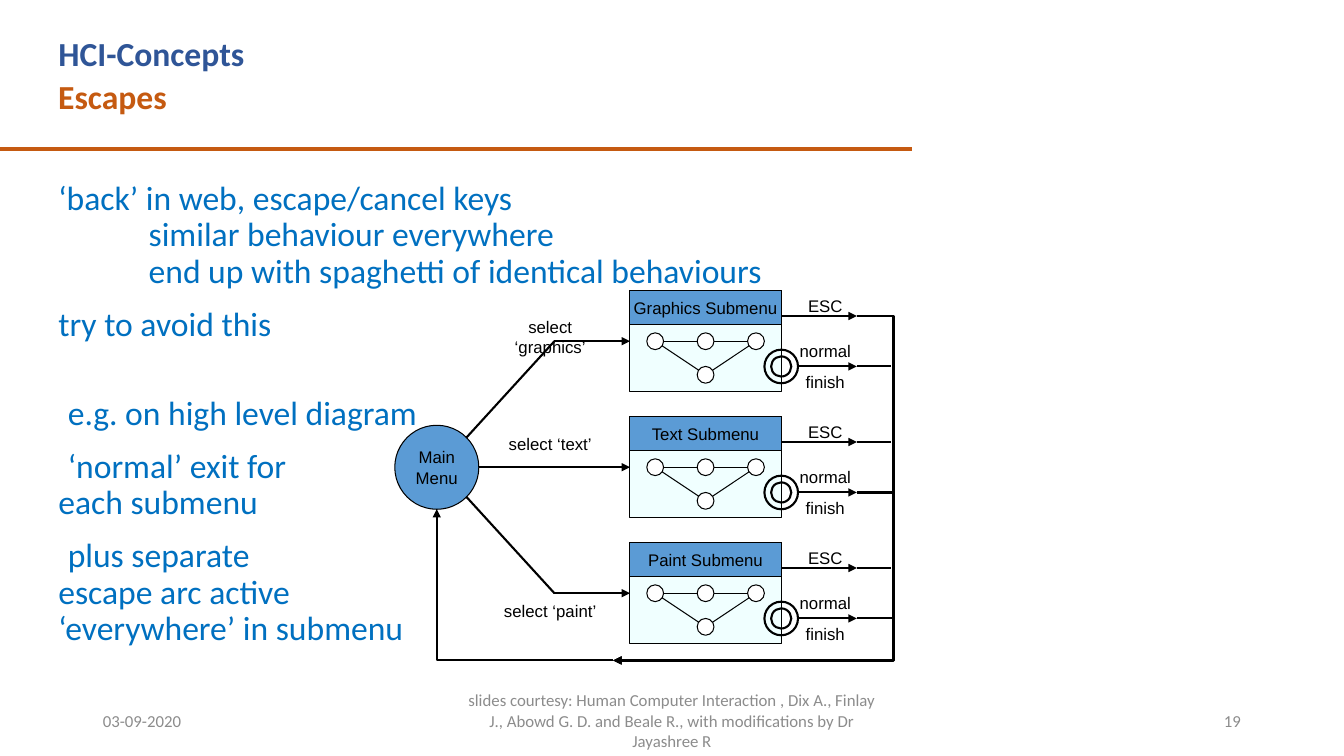
from dataclasses import dataclass

import lxml.etree
import pptx
import pptx.dml.color
import pptx.enum.shapes
import pptx.enum.text
import pptx.oxml.ns
import pptx.util

PX = 9525
SHAPE = pptx.enum.shapes.MSO_SHAPE
CONNECTOR = pptx.enum.shapes.MSO_CONNECTOR
ALIGN = pptx.enum.text.PP_ALIGN
ANCHOR = pptx.enum.text.MSO_ANCHOR


@dataclass(frozen=True)
class Theme:
    heading: str = "2F5597"
    accent: str = "C55A11"
    body: str = "0070C0"
    muted: str = "8C8C8C"
    ink: str = "000000"
    paper: str = "FFFFFF"
    node: str = "5B9BD5"
    panel: str = "F0FFFF"
    text_font: str = "Calibri"
    diagram_font: str = "Arial"
    large: int = 24
    small: int = 12
    thin: float = 0.75
    medium: float = 1.5
    thick: float = 3


THEME = Theme()


def px(*lengths):
    return [pptx.util.Emu(round(length * PX)) for length in lengths]


def rgb(color):
    return pptx.dml.color.RGBColor.from_string(color)


def sub(parent, tag, **attributes):
    return lxml.etree.SubElement(parent, pptx.oxml.ns.qn(tag), attributes)


def style(paragraph, size, color, font, bold=False, align=ALIGN.LEFT):
    paragraph.alignment = align
    paragraph.font.size = pptx.util.Pt(size)
    paragraph.font.color.rgb = rgb(color)
    paragraph.font.name = font
    paragraph.font.bold = bold


def fill_text(shape, text, size, color, font, bold=False, align=ALIGN.LEFT,
              anchor=ANCHOR.TOP, wrap=True):
    frame = shape.text_frame
    frame.auto_size = pptx.enum.text.MSO_AUTO_SIZE.NONE
    frame.word_wrap = wrap
    frame.vertical_anchor = anchor
    frame.text = text
    style(frame.paragraphs[0], size, color, font, bold, align)
    return frame


def place(shape, box):
    shape.left, shape.top, shape.width, shape.height = px(*box)


def draw(slide, kind, box, fill=None, width=THEME.thin, text=None):
    shape = slide.shapes.add_shape(kind, *px(*box))
    shape.shadow.inherit = False
    if fill:
        shape.fill.solid()
        shape.fill.fore_color.rgb = rgb(fill)
    else:
        shape.fill.background()
    shape.line.color.rgb = rgb(THEME.ink)
    shape.line.width = pptx.util.Pt(width)
    if text:
        fill_text(shape, text, THEME.small, THEME.ink, THEME.diagram_font,
                  align=ALIGN.CENTER, anchor=ANCHOR.MIDDLE, wrap=False)
    return shape


def connect(slide, start, end, width=THEME.medium, color=THEME.ink,
            arrow=False, kind=CONNECTOR.STRAIGHT):
    link = slide.shapes.add_connector(kind, *px(*start, *end))
    link.line.color.rgb = rgb(color)
    link.line.width = pptx.util.Pt(width)
    if arrow:
        sub(link.line._get_or_add_ln(), "a:tailEnd", type="triangle")
    sub(link.element.spPr, "a:effectLst")
    return link


def bend(slide, start, end, preset, *adjustments):
    link = connect(slide, start, end, arrow=True, kind=CONNECTOR.ELBOW)
    geometry = link.element.spPr.find(pptx.oxml.ns.qn("a:prstGeom"))
    geometry.set("prst", preset)
    guides = geometry.find(pptx.oxml.ns.qn("a:avLst"))
    if guides is None:
        guides = sub(geometry, "a:avLst")
    for number, share in enumerate(adjustments, 1):
        sub(guides, "a:gd", name=f"adj{number}",
            fmla=f"val {round(share * 100000)}")
    return link


def label(slide, center, top, text, width, wrap=False):
    box = slide.shapes.add_textbox(*px(center - width / 2, top, width, 29))
    fill_text(box, text, THEME.small, THEME.ink, THEME.diagram_font,
              align=ALIGN.CENTER, wrap=wrap)


def add_header(slide, left, top, width):
    title = slide.shapes.title
    place(title, (left, top, width, 48))
    fill_text(title, "HCI-Concepts", THEME.large, THEME.heading,
              THEME.text_font, bold=True)
    topic = slide.shapes.add_textbox(*px(left, top + 41, width, 48))
    fill_text(topic, "Escapes", THEME.large, THEME.accent,
              THEME.text_font, bold=True)
    connect(slide, (0, top + 115), (869, top + 115), THEME.thick, THEME.accent)


def add_points(slide, box):
    points = [
        ("‘back’ in web, escape/cancel keys", 0, 0, 0),
        ("similar behaviour everywhere", 1, 0, 0),
        ("end up with spaghetti of identical behaviours", 1, 0, 0),
        ("try to avoid this", 0, 0, 12),
        ("e.g. on high level diagram", 0, 9, 38),
        ("‘normal’ exit for\veach submenu", 0, 9, 12),
        ("plus separate\vescape arc active\v‘everywhere’ in submenu", 0, 9, 12),
    ]
    body = slide.placeholders[1]
    place(body, box)
    frame = body.text_frame
    frame.auto_size = pptx.enum.text.MSO_AUTO_SIZE.NONE
    frame.word_wrap = True
    for index, (text, level, indent, before) in enumerate(points):
        point = frame.add_paragraph() if index else frame.paragraphs[0]
        point.text = text
        point.level = level
        properties = point._p.get_or_add_pPr()
        properties.set("marL", str(86 * PX * level))
        properties.set("indent", str(indent * PX))
        sub(properties, "a:buNone")
        point.line_spacing = 0.9
        point.space_before = pptx.util.Pt(before)
        style(point, THEME.large, THEME.body, THEME.text_font)


def add_footer(slide, top):
    credit = ("slides courtesy: Human Computer Interaction , Dix A., Finlay J., "
              "Abowd G. D. and Beale R., with modifications by Dr Jayashree R")
    for left, width, text, align, inset in (
            (88, 288, "03-09-2020", ALIGN.LEFT, 10),
            (424, 432, credit, ALIGN.CENTER, 18),
            (904, 288, "19", ALIGN.RIGHT, 10)):
        box = slide.shapes.add_textbox(*px(left, top, width, 38))
        frame = fill_text(box, text, THEME.small, THEME.muted,
                          THEME.text_font, align=align, anchor=ANCHOR.MIDDLE)
        frame.margin_left, frame.margin_right = px(inset, inset)


def add_submenu(slide, left, top, name):
    draw(slide, SHAPE.RECTANGLE, (left, top, 144, 96), THEME.panel)
    draw(slide, SHAPE.RECTANGLE, (left, top, 144, 32), THEME.node, text=name)
    states = [(left + x, top + y) for x, y in ((24, 48), (72, 80), (120, 48))]
    for index, state in enumerate(states):
        connect(slide, states[index - 1], state, THEME.thin)
    for x, y in states + [(left + 72, top + 48)]:
        draw(slide, SHAPE.OVAL, (x - 8, y - 8, 16, 16), THEME.paper)
    finish = draw(slide, SHAPE.DONUT, (left + 128, top + 56, 32, 32),
                  width=THEME.medium)
    finish.adjustments[0] = 0.2


def add_exits(slide, left, top, bus, merge, joined):
    end = left + 216
    for name, start, y in (("ESC", 144, top + 24), ("normal", 161, top + 72)):
        connect(slide, (left + start, y), (end, y), arrow=True)
        if name == joined:
            share = -(bus - end) / (end - merge[0])
            arc = bend(slide, (end, y), merge, "bentConnector3", share)
            frame = arc.element.spPr.find(pptx.oxml.ns.qn("a:xfrm"))
            frame.attrib.pop("flipH")
            frame.set("rot", "10800000")
            frame.set("flipV", "1")
        else:
            connect(slide, (end, y), (bus - 2, y))
    for text, offset in (("ESC", 0), ("normal", 43), ("finish", 72)):
        label(slide, left + 186, top + offset, text, 68)


def add_menu_diagram(slide, left, top):
    column, pitch, bus = left + 224, 120, left + 475
    middle = top + pitch + 48
    merge = (left + 208, top + 352)
    draw(slide, SHAPE.OVAL, (left, middle - 40, 80, 80), THEME.node,
         text="Main\vMenu")
    rows = (("Graphics Submenu", "select ‘graphics’", 20, "ESC", True),
            ("Text Submenu", "select ‘text’", 131, "normal", False),
            ("Paint Submenu", "select ‘paint’", 290, "normal", False))
    for index, (name, choice, offset, joined, wrap) in enumerate(rows):
        side = index - 1
        submenu_top = top + index * pitch
        entry = submenu_top + 48
        add_submenu(slide, column, submenu_top, name)
        start = left + (152 if side else 80)
        connect(slide, (start, entry), (column, entry), arrow=True)
        if side:
            connect(slide, (left + 68, middle + side * 28), (start, entry))
        label(slide, left + 148, top + offset, choice, 116, wrap)
        add_exits(slide, column, submenu_top, bus, merge, joined)
    bend(slide, merge, (left + 40, middle + 40), "bentConnector4", 0.2, 0)


def main():
    deck = pptx.Presentation()
    deck.slide_width, deck.slide_height = px(1280, 720)
    slide = deck.slides.add_slide(deck.slide_layouts[1])
    add_header(slide, 46, 27, 754)
    add_points(slide, (46, 168, 914, 471))
    add_footer(slide, 667)
    add_menu_diagram(slide, 376, 277)
    deck.save("out.pptx")


if __name__ == "__main__":
    main()
